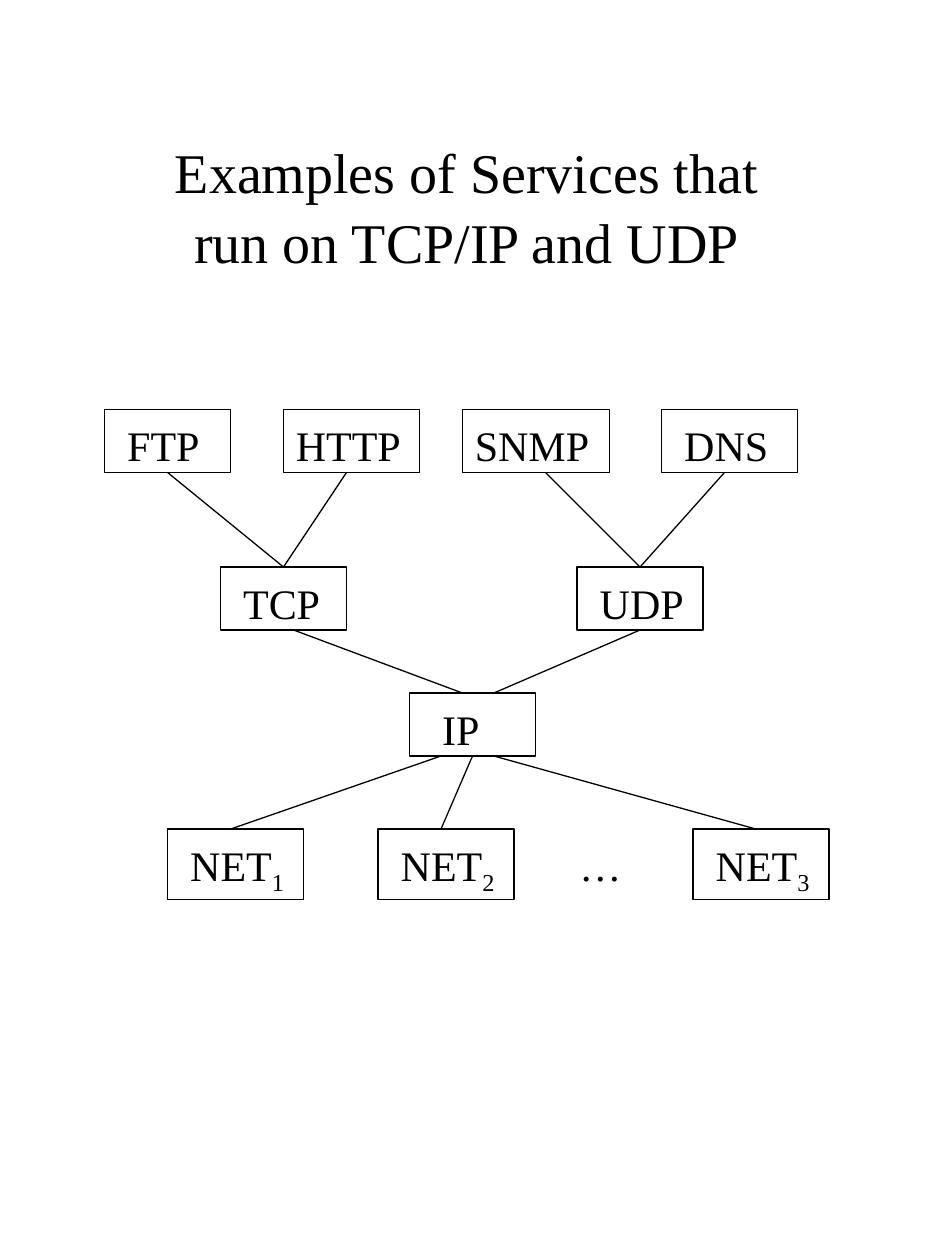
"""Build a slide showing the services that run on TCP/IP and UDP."""
from pptx import Presentation
from pptx.dml.color import RGBColor
from pptx.enum.shapes import MSO_CONNECTOR, MSO_SHAPE
from pptx.enum.text import MSO_ANCHOR, PP_ALIGN
from pptx.oxml.ns import qn
from pptx.util import Inches, Pt
from lxml import etree

RECT, STRAIGHT = MSO_SHAPE.RECTANGLE, MSO_CONNECTOR.STRAIGHT
TOP, MIDDLE = MSO_ANCHOR.TOP, MSO_ANCHOR.MIDDLE
LEFT, CENTER = PP_ALIGN.LEFT, PP_ALIGN.CENTER
BLACK = RGBColor(0, 0, 0)
WHITE = RGBColor(255, 255, 255)
FONT = "Times New Roman"
SPACE = 0.08
TOP_SITE, BOTTOM_SITE = 0, 2

TITLE = "Examples of Services that run on TCP/IP and UDP"
ROWS = [
    (3.25, 0.5, [("FTP", "", 0.83, 1, 1), ("HTTP", "", 2.25, 1.08, 0),
                 ("SNMP", "", 3.67, 1.17, 0), ("DNS", "", 5.25, 1.08, 1)]),
    (4.5, 0.5, [("TCP", "", 1.75, 1, 1), ("UDP", "", 4.58, 1, 1)]),
    (5.5, 0.5, [("IP", "", 3.25, 1, 2)]),
    (6.58, 0.56, [("NET", "1", 1.33, 1.08, 1), ("NET", "2", 3, 1.08, 1),
                  ("NET", "3", 5.5, 1.08, 1)]),
]
LINKS = [
    ("FTP", 1.33, "TCP", 2.25), ("HTTP", 2.75, "TCP", 2.25),
    ("SNMP", 4.33, "UDP", 5.08), ("DNS", 5.75, "UDP", 5.08),
    ("TCP", 2.33, "IP", 3.67), ("UDP", 5.08, "IP", 3.92),
    ("IP", 3.5, "NET1", 1.83), ("IP", 3.75, "NET2", 3.5),
    ("IP", 3.92, "NET3", 6),
]


def format_text(tf, size, align, anchor, left=0.1, top=0.05):
    tf.word_wrap = True
    tf.vertical_anchor = anchor
    tf.margin_left, tf.margin_right = Inches(left), Inches(0.1)
    tf.margin_top, tf.margin_bottom = Inches(top), Inches(0.05)
    p = tf.paragraphs[0]
    p.alignment = align
    for r in p.runs:
        r.font.name, r.font.size = FONT, Pt(size)
        r.font.color.rgb = BLACK


def add_box(s, label, sub, x, y, w, h, indent):
    sp = s.shapes.add_shape(RECT, Inches(x), Inches(y), Inches(w), Inches(h))
    sp.shadow.inherit = False
    sp.fill.solid()
    sp.fill.fore_color.rgb = WHITE
    sp.line.color.rgb = BLACK
    sp.line.width = Pt(0.75)
    tf = sp.text_frame
    tf.text = label
    if sub:
        r = tf.paragraphs[0].add_run()
        r.text = sub
        r.font._element.set("baseline", "-25000")
    format_text(tf, 24, LEFT, TOP, 0.1 + indent * SPACE, 0.08)
    return sp


def is_middle(sp, x):
    return abs(sp.left + sp.width / 2 - Inches(x)) < Inches(0.01)


def add_link(s, upper, x1, lower, x2):
    line = s.shapes.add_connector(STRAIGHT, Inches(x1), upper.top + upper.height,
                                  Inches(x2), lower.top)
    if is_middle(upper, x1):
        line.begin_connect(upper, BOTTOM_SITE)
    if is_middle(lower, x2):
        line.end_connect(lower, TOP_SITE)
    line.line.color.rgb = BLACK
    line.line.width = Pt(0.75)
    etree.SubElement(line._element.spPr, qn("a:effectLst"))


def main():
    prs = Presentation()
    prs.slide_width, prs.slide_height = Inches(7.5), Inches(10)
    s = prs.slides.add_slide(prs.slide_layouts[5])

    title = s.shapes.title
    title.left, title.top = Inches(1.08), Inches(1)
    title.width, title.height = Inches(5.25), Inches(1.25)
    title.text_frame.text = TITLE
    format_text(title.text_frame, 32, CENTER, MIDDLE)
    title.text_frame.paragraphs[0].line_spacing = 1.04

    boxes = {}
    for y, h, row in ROWS:
        for label, sub, x, w, indent in row:
            boxes[label + sub] = add_box(s, label, sub, x, y, w, h, indent)
    for upper, x1, lower, x2 in LINKS:
        add_link(s, boxes[upper], x1, boxes[lower], x2)

    dots = s.shapes.add_textbox(Inches(4.5), Inches(6.58), Inches(0.53), Inches(0.5))
    dots.text_frame.text = "…"
    format_text(dots.text_frame, 24, LEFT, TOP, top=0.08)

    prs.save("out.pptx")


if __name__ == "__main__":
    main()
